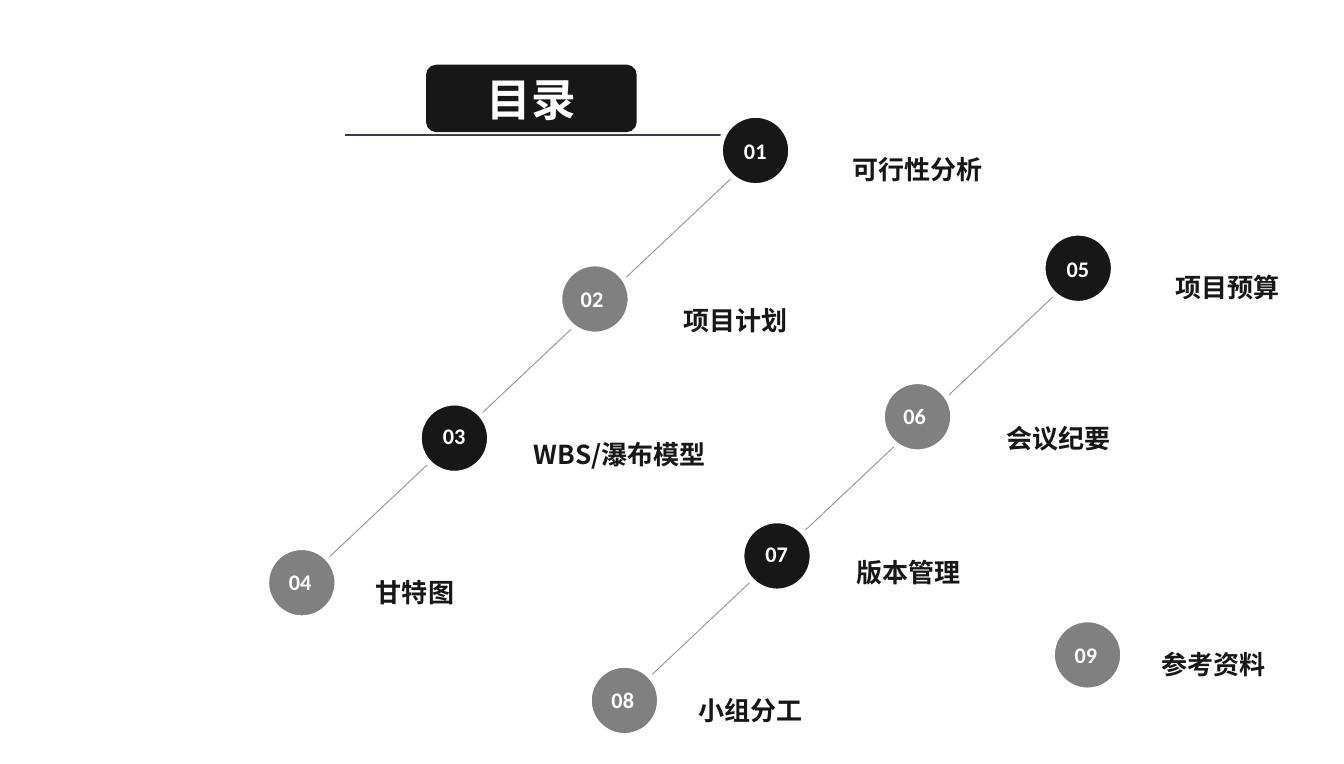
from pptx import Presentation
from pptx.dml.color import RGBColor
from pptx.enum.shapes import MSO_CONNECTOR, MSO_SHAPE
from pptx.enum.text import MSO_ANCHOR, MSO_AUTO_SIZE, PP_ALIGN
from pptx.util import Pt
from lxml import etree

STRAIGHT = MSO_CONNECTOR.STRAIGHT
OVAL = MSO_SHAPE.OVAL
ROUNDED = MSO_SHAPE.ROUNDED_RECTANGLE
MIDDLE = MSO_ANCHOR.MIDDLE
GROW = MSO_AUTO_SIZE.SHAPE_TO_FIT_TEXT
FIXED = MSO_AUTO_SIZE.NONE
LEFT, CENTER = PP_ALIGN.LEFT, PP_ALIGN.CENTER

PX = 9144
A = "{http://schemas.openxmlformats.org/drawingml/2006/main}"
COLORS = {name: RGBColor.from_string(value) for name, value in {
    "ink": "181717", "grey": "808080", "white": "FFFFFF",
    "rule": "333F50", "path": "999999"}.items()}
CJK, LATIN = "Noto Sans CJK SC", "Calibri"


def write(s, text, size, font, color, align=LEFT):
    tf = s.text_frame
    tf.word_wrap = False
    p = tf.paragraphs[0]
    p.alignment = align
    r = p.add_run()
    r.text = text
    r.font.size = Pt(size)
    r.font.bold = True
    r.font.name = font
    r.font.color.rgb = COLORS[color]
    etree.SubElement(r.font._element, A + "ea", typeface=font)
    return tf


def add_line(x1, y1, x2, y2, color, width):
    line = slide.shapes.add_connector(STRAIGHT, x1 * PX, y1 * PX, x2 * PX, y2 * PX)
    line.line.color.rgb = COLORS[color]
    line.line.width = Pt(width)
    etree.SubElement(line._element.spPr, A + "effectLst")


prs = Presentation()
prs.slide_width, prs.slide_height = 1004 * PX, 571 * PX
slide = prs.slides.add_slide(prs.slide_layouts[5])

add_line(258, 101, 558, 101, "rule", 1)

banner_box = [v * PX for v in (319, 49, 156, 49)]
banner = slide.shapes.add_shape(ROUNDED, *banner_box)
banner.adjustments[0] = 0.14
banner.shadow.inherit = False
banner.fill.solid()
banner.fill.fore_color.rgb = COLORS["ink"]
banner.line.color.rgb = COLORS["ink"]
banner.line.width = Pt(1)

title = slide.shapes.title
title.left, title.top, title.width, title.height = banner_box
tf = write(title, "目录", 24, CJK, "white", CENTER)
tf.auto_size = FIXED
tf.vertical_anchor = MIDDLE
tf.margin_left = tf.margin_right = tf.margin_top = tf.margin_bottom = 0
slide.shapes._spTree.append(title._element)

chain_shifts = [(0, 0), (241, 88)]
for dx, dy in chain_shifts:
    add_line(206 + dx, 454 + dy, 571 + dx, 110 + dy, "path", 0.5)

stops = [
    (538, 86, "ink", (8, 12), (89, 24)),
    (418, 197, "grey", (6, 11), (83, 26)),
    (313, 301, "ink", (8, 10), (76, 22)),
    (199, 409, "grey", (7, 11), (72, 17)),
]
topics = [
    ("可行性分析", 118), ("项目计划", 99), ("WBS/瀑布模型", 154), ("甘特图", 79),
    ("项目预算", 99), ("会议纪要", 99), ("版本管理", 99), ("小组分工", 99),
    ("参考资料", 99),
]
places = [(stop, shift) for shift in chain_shifts for stop in stops]
places.append((stops[-1], (587, 54)))

for i, ((topic, width), (stop, (dx, dy))) in enumerate(zip(topics, places), 1):
    x, y, color, number_offset, topic_offset = stop
    x, y = x + dx, y + dy
    dot = slide.shapes.add_shape(OVAL, x * PX, y * PX, 53 * PX, 53 * PX)
    dot.shadow.inherit = False
    dot.fill.solid()
    dot.fill.fore_color.rgb = COLORS[color]
    dot.line.color.rgb = COLORS["white"]
    dot.line.width = Pt(3)
    for text, (ox, oy), w, h, size, font, text_color in (
        (f"{i:02}", number_offset, 37, 30, 12, LATIN, "white"),
        (topic, topic_offset, width, 34, 14, CJK, "ink"),
    ):
        box = slide.shapes.add_textbox((x + ox) * PX, (y + oy) * PX, w * PX, h * PX)
        write(box, text, size, font, text_color).auto_size = GROW

prs.save("out.pptx")
